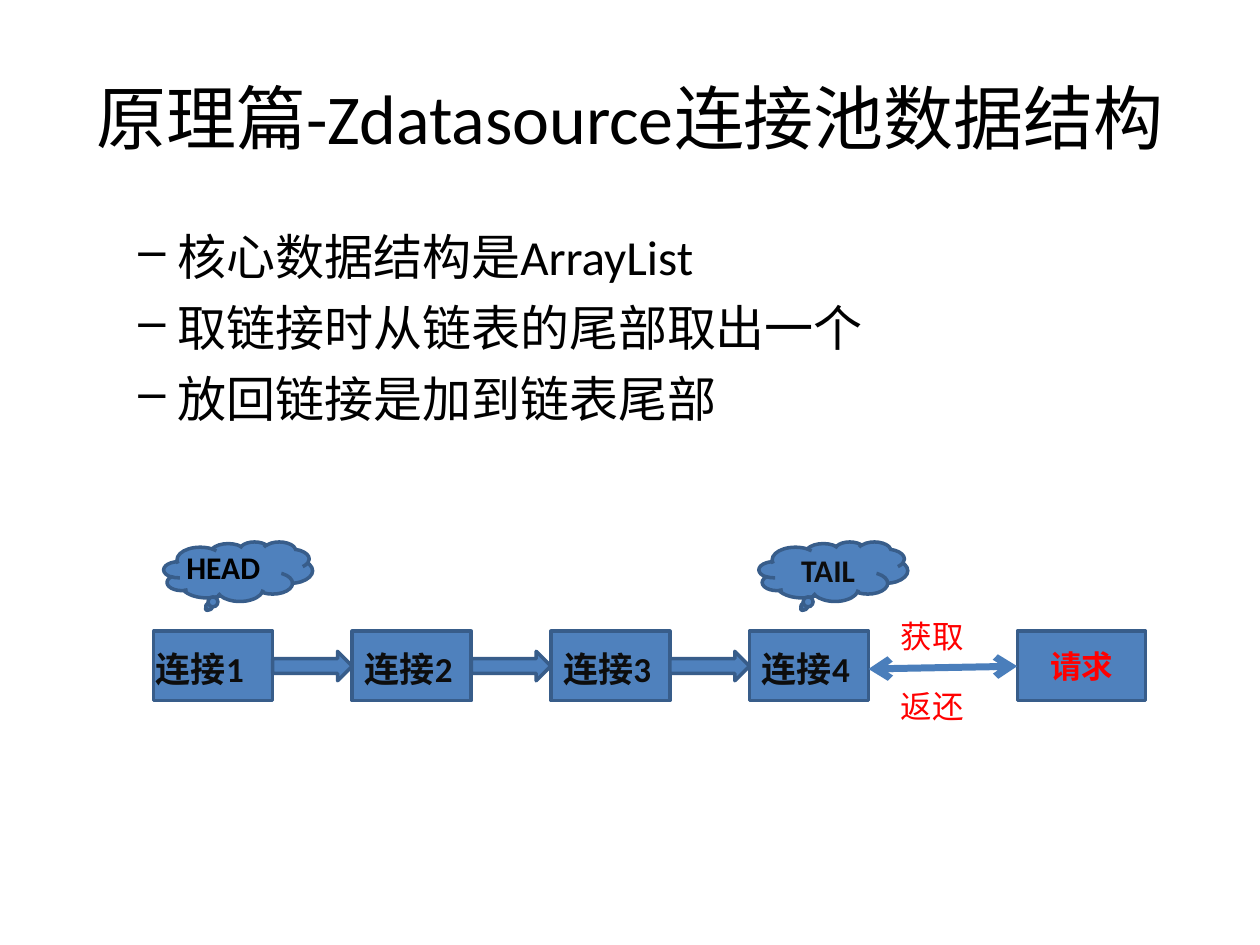
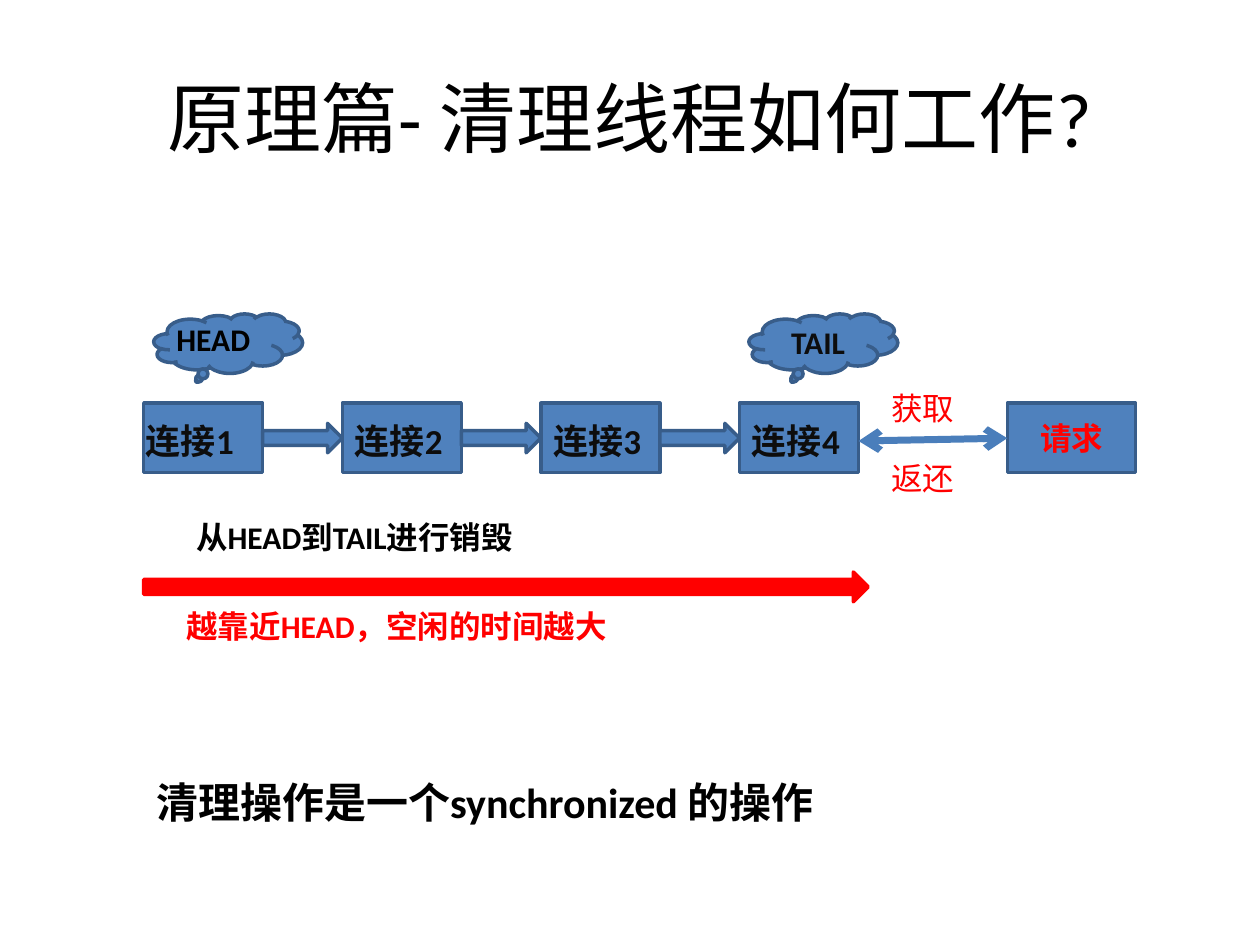
from dataclasses import dataclass

from lxml.etree import SubElement
from pptx import Presentation
from pptx.dml.color import RGBColor
from pptx.enum.shapes import MSO_CONNECTOR, MSO_SHAPE
from pptx.enum.text import MSO_ANCHOR, PP_ALIGN
from pptx.oxml.ns import qn
from pptx.util import Pt


@dataclass(frozen=True)
class Theme:
    font: str = "Calibri"
    black: str = "000000"
    dark: str = "0D0D0D"
    red: str = "FF0000"
    blue: str = "4F81BD"
    edge: str = "385D8A"
    link: str = "4A7EBB"
    head: int = 44
    body: int = 28
    note: int = 24
    node: int = 20
    small: int = 18


THEME = Theme()


def color(code):
    return RGBColor.from_string(code)


def write(shape, text, size=THEME.small, ink=THEME.black, bold=False,
          align=PP_ALIGN.LEFT, anchor=MSO_ANCHOR.TOP, bullet=None):
    """Fill a shape with text, one paragraph a line."""
    frame = shape.text_frame
    frame.word_wrap = True
    frame.vertical_anchor = anchor
    frame.margin_left = frame.margin_right = Pt(7.2)
    frame.margin_top = frame.margin_bottom = Pt(3.6)
    for i, line in enumerate(text.split("\n")):
        para = frame.add_paragraph() if i else frame.paragraphs[0]
        para.alignment = align
        run = para.add_run()
        run.text = line
        font = run.font
        font.name, font.size, font.bold = THEME.font, Pt(size), bold
        font.color.rgb = color(ink)
        if bullet:
            para.space_before = Pt(7)
            props = para._p.get_or_add_pPr()
            props.set("marL", str(Pt(58.5)))
            props.set("indent", str(Pt(-22.5)))
            SubElement(props, qn("a:buChar"), char=bullet)


class Deck:
    """Holds the style and the slide being drawn."""

    def __init__(self, theme):
        self.theme = theme
        self.file = Presentation()
        self.file.slide_width, self.file.slide_height = Pt(720), Pt(540)
        self.slide = None

    def page(self, title, size):
        self.slide = self.file.slides.add_slide(self.file.slide_layouts[6])
        self.text(title, 36, 21.6, 648, 90, size=size,
                  align=PP_ALIGN.CENTER, anchor=MSO_ANCHOR.MIDDLE)

    def text(self, text, x, y, w, h, **style):
        box = self.slide.shapes.add_textbox(Pt(x), Pt(y), Pt(w), Pt(h))
        write(box, text, **style)

    def shape(self, kind, x, y, w, h, fill=None, edge=None, text=None, ink=None):
        item = self.slide.shapes.add_shape(kind, Pt(x), Pt(y), Pt(w), Pt(h))
        item.shadow.inherit = False
        item.fill.solid()
        item.fill.fore_color.rgb = color(fill or self.theme.blue)
        item.line.color.rgb = color(edge or self.theme.edge)
        item.line.width = Pt(2)
        if text:
            write(item, text, ink=ink, bold=True,
                  align=PP_ALIGN.CENTER, anchor=MSO_ANCHOR.MIDDLE)
        return item

    def cloud(self, x, y, **label):
        item = self.shape(MSO_SHAPE.CLOUD_CALLOUT, x, y, 85, 34, **label)
        item.adjustments[0], item.adjustments[1] = -0.208, 0.625

    def link(self, x1, y1, x2, y2):
        """Draw a line with an open arrowhead at both ends."""
        line = self.slide.shapes.add_connector(
            MSO_CONNECTOR.STRAIGHT, Pt(x1), Pt(y1), Pt(x2), Pt(y2))
        line.line.color.rgb = color(self.theme.link)
        line.line.width = Pt(4)
        stroke = line.line._get_or_add_ln()
        for end in ("a:headEnd", "a:tailEnd"):
            SubElement(stroke, qn(end), type="arrow")
        SubElement(line._element.spPr, qn("a:effectLst"))

    def pool(self, left, top, count=4):
        """Draw the chain of connections, its two ends and the request."""
        look = self.theme
        wide, tall, step = 68, 39.6, 113.5
        row = top + 51.1
        nodes = [left + i * step for i in range(count)]
        last = nodes[-1]

        self.cloud(left + 5.8, top)
        for i, x in enumerate(nodes):
            self.shape(MSO_SHAPE.FLOWCHART_PROCESS, x, row, wide, tall)
            if x != last:
                self.shape(MSO_SHAPE.RIGHT_ARROW, x + wide, row + 11.5,
                           step - wide, 16.8)
            shift = 0 if i else -5.8
            self.text(f"连接{i + 1}", x + shift, row + 5.8, wide, 55.4,
                      size=look.node, ink=look.dark, bold=True)
        self.text("HEAD", left + 11.6, top, 79, 28.8, bold=True)
        self.cloud(last + 5.4, top, text="TAIL", ink=look.dark)

        ask = last + 153
        self.shape(MSO_SHAPE.RECTANGLE, ask, row, 73.4, tall,
                   text="请求", ink=look.red)
        self.link(last + wide, row + 21.6, ask, row + 20)
        for word, y in (("获取", row - 11.5), ("返还", row + 28.1)):
            self.text(word, last + 79.5, y, 67.7, 28.8, ink=look.red)


def main():
    deck = Deck(THEME)

    deck.page("原理篇-Zdatasource连接池数据结构", 40)
    deck.text("核心数据结构是ArrayList\n取链接时从链表的尾部取出一个\n放回链接是加到链表尾部",
              36, 126, 648, 356.4, size=THEME.body, bullet="–")
    deck.pool(87.8, 309.6)

    deck.page("原理篇- 清理线程如何工作?", THEME.head)
    deck.pool(82.1, 179.3)
    deck.shape(MSO_SHAPE.RIGHT_ARROW, 82.1, 326.9, 414, 17,
               fill=THEME.red, edge=THEME.red)
    deck.text("从HEAD到TAIL进行销毁", 105, 292.3, 306, 28.8, bold=True)
    deck.text("越靠近HEAD，空闲的时间越大", 99.4, 343.4, 306, 28.8,
              ink=THEME.red, bold=True)
    deck.text("清理操作是一个synchronized 的操作", 82.1, 440, 476.6, 36,
              size=THEME.note, bold=True)

    deck.file.save("out.pptx")


if __name__ == "__main__":
    main()
